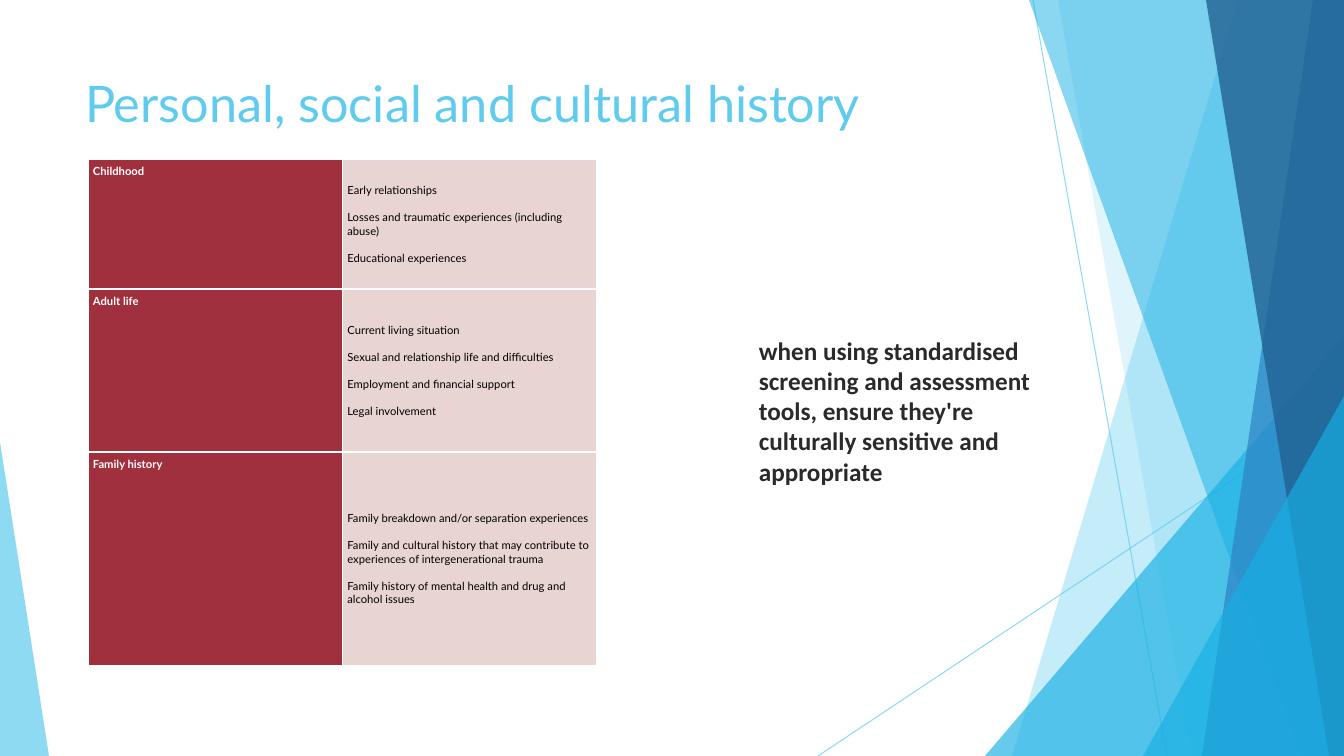
from dataclasses import dataclass

from lxml.etree import SubElement
from pptx import Presentation
from pptx.dml.color import RGBColor as Rgb
from pptx.enum.shapes import MSO_CONNECTOR as Connector, MSO_SHAPE as Preset
from pptx.enum.text import MSO_ANCHOR as Anchor, MSO_AUTO_SIZE as AutoSize, PP_ALIGN as Align
from pptx.oxml.ns import qn
from pptx.util import Pt

SCALE = 914400 / 100.8


def px(length):
    """Turn pixels into EMU."""
    return round(length * SCALE)


@dataclass(frozen=True)
class Box:
    """A region of the slide, in pixels."""
    left: int
    top: int
    width: int
    height: int

    def emu(self):
        """Return left, top, width and height in EMU."""
        return [px(side) for side in (self.left, self.top, self.width, self.height)]


@dataclass(frozen=True)
class Theme:
    """Colours, fonts and type sizes."""
    sky: str = "5FCBEF"
    cyan: str = "17B0E4"
    blue: str = "2E83C3"
    navy: str = "226292"
    crimson: str = "A0303E"
    blush: str = "E8D5D1"
    white: str = "FFFFFF"
    black: str = "000000"
    charcoal: str = "2A2A2A"
    main_font: str = "Lato"
    callout_font: str = "Calibri"
    title_size: int = 36
    callout_size: int = 18
    table_size: int = 8
    table_gap: float = 9.6


THEME = Theme()

HISTORY = [
    ("Childhood", 130, [
        "Early relationships",
        "Losses and traumatic experiences (including abuse)",
        "Educational experiences"]),
    ("Adult life", 163, [
        "Current living situation",
        "Sexual and relationship life and difficulties",
        "Employment and financial support",
        "Legal involvement"]),
    ("Family history", 214, [
        "Family breakdown and/or separation experiences",
        "Family and cultural history that may contribute to experiences of "
        "intergenerational trauma",
        "Family history of mental health and drug and alcohol issues"]),
]


def set_opacity(part, percent):
    """Make the one solid colour of a shape or connector translucent."""
    colour = next(part._element.spPr.iter(qn("a:srgbClr")))
    SubElement(colour, qn("a:alpha"), val=str(percent * 1000))


def paint(facet, colour, opacity):
    """Give a facet a translucent fill without outline or shadow."""
    facet.shadow.inherit = False
    facet.fill.solid()
    facet.fill.fore_color.rgb = Rgb.from_string(colour)
    facet.line.fill.background()
    set_opacity(facet, opacity)


def add_text(paragraph, text, font, size, colour, bold=False):
    """Add one formatted run to a paragraph."""
    run = paragraph.add_run()
    run.text = text
    run.font.name, run.font.size, run.font.bold = font, Pt(size), bold
    run.font.color.rgb = Rgb.from_string(colour)


def add_ray(slide, box, start, end):
    """Draw a thin translucent line between two points of the box."""
    ends = [px(value) for x, y in (start, end) for value in (box.left + x, box.top + y)]
    ray = slide.shapes.add_connector(Connector.STRAIGHT, *ends)
    ray.line.width = Pt(0.75)
    ray.line.color.rgb = Rgb.from_string(THEME.sky)
    set_opacity(ray, 70)
    SubElement(ray._element.spPr, qn("a:effectLst"))


def add_band(slide, box, top_x, bottom_x, colour, opacity):
    """Fill the box to the right of a slanted edge."""
    right, bottom = box.left + box.width, box.top + box.height
    outline = slide.shapes.build_freeform(box.left + top_x, box.top, SCALE)
    outline.add_line_segments([(right, box.top), (right, bottom), (box.left + bottom_x, bottom)])
    paint(outline.convert_to_shape(), colour, opacity)


def add_wedge(slide, box, peak, colour, opacity):
    """Fill the box with a triangle whose peak is at 0 (left) to 1 (right)."""
    wedge = slide.shapes.add_shape(Preset.ISOSCELES_TRIANGLE, *box.emu())
    wedge.adjustments[0] = peak
    paint(wedge, colour, opacity)


def add_corner_wedge(slide, box, left, top):
    """Place a cyan wedge in the bottom right corner of the box."""
    corner = Box(box.left + left, box.top + top, box.width - left, box.height - top)
    add_wedge(slide, corner, 1, THEME.cyan, 66)


def add_facets(slide, box):
    """Layer the rays, bands and wedges of the right-hand decoration."""
    add_ray(slide, box, (215, 0), (349, box.height))
    add_ray(slide, box, (box.width, 406), (0, box.height))
    add_band(slide, box, 420, 194, THEME.sky, 36)
    add_band(slide, box, 240, 374, THEME.sky, 20)
    add_corner_wedge(slide, box, 167, 336)
    add_band(slide, box, 211, 483, THEME.cyan, 50)
    add_band(slide, box, 495, 384, THEME.blue, 70)
    add_band(slide, box, 388, 511, THEME.navy, 80)
    add_corner_wedge(slide, box, 325, 396)


def add_title(slide, box, text):
    """Move and format the title placeholder."""
    title = slide.shapes.title
    title.left, title.top, title.width, title.height = box.emu()
    frame = title.text_frame
    frame.auto_size, frame.vertical_anchor = AutoSize.NONE, Anchor.TOP
    frame.paragraphs[0].alignment = Align.LEFT
    add_text(frame.paragraphs[0], text, THEME.main_font, THEME.title_size, THEME.sky)


def fill_cell(cell, lines, fill, colour, anchor, bold=False):
    """Write spaced lines into a coloured table cell."""
    cell.fill.solid()
    cell.fill.fore_color.rgb = Rgb.from_string(fill)
    cell.vertical_anchor = anchor
    cell.margin_left = cell.margin_right = cell.margin_top = cell.margin_bottom = px(5)
    for index, line in enumerate(lines):
        frame = cell.text_frame
        paragraph = frame.add_paragraph() if index else frame.paragraphs[0]
        paragraph.space_before = Pt(THEME.table_gap if index else 0)
        add_text(paragraph, line, THEME.main_font, THEME.table_size, colour, bold)


def add_history_table(slide, box):
    """Build the table of life stages and their topics."""
    table = slide.shapes.add_table(len(HISTORY), 2, *box.emu()).table
    table.first_row = table.horz_banding = False
    for column in table.columns:
        column.width = px(box.width / 2)
    for row, (stage, height, topics) in zip(table.rows, HISTORY):
        row.height = px(height)
        stage_cell, topics_cell = row.cells
        fill_cell(stage_cell, [stage], THEME.crimson, THEME.white, Anchor.TOP, True)
        fill_cell(topics_cell, topics, THEME.blush, THEME.black, Anchor.MIDDLE)


def add_callout(slide, box, text):
    """Place the bold advice beside the table."""
    frame = slide.shapes.add_textbox(*box.emu()).text_frame
    frame.word_wrap = True
    add_text(frame.paragraphs[0], text, THEME.callout_font, THEME.callout_size,
             THEME.charcoal, True)


def build_history_slide(deck, box):
    """Compose the personal, social and cultural history slide."""
    slide = deck.slides.add_slide(deck.slide_layouts[5])
    right, bottom = box.left + box.width, box.top + box.height
    add_facets(slide, Box(right - 526, box.top, 526, box.height))
    add_wedge(slide, Box(box.left, bottom - 314, 49, 314), 0, THEME.sky, 70)
    add_title(slide, Box(box.left + 75, box.top + 67, 947, 145),
              "Personal, social and cultural history")
    add_history_table(slide, Box(box.left + 88, box.top + 159, 509, 507))
    add_callout(slide, Box(box.left + 749, box.top + 330, 328, 163),
                "when using standardised screening and assessment tools, "
                "ensure they're culturally sensitive and appropriate")


deck = Presentation()
page = Box(0, 0, 1344, 756)
deck.slide_width, deck.slide_height = px(page.width), px(page.height)
build_history_slide(deck, page)
deck.save("out.pptx")
